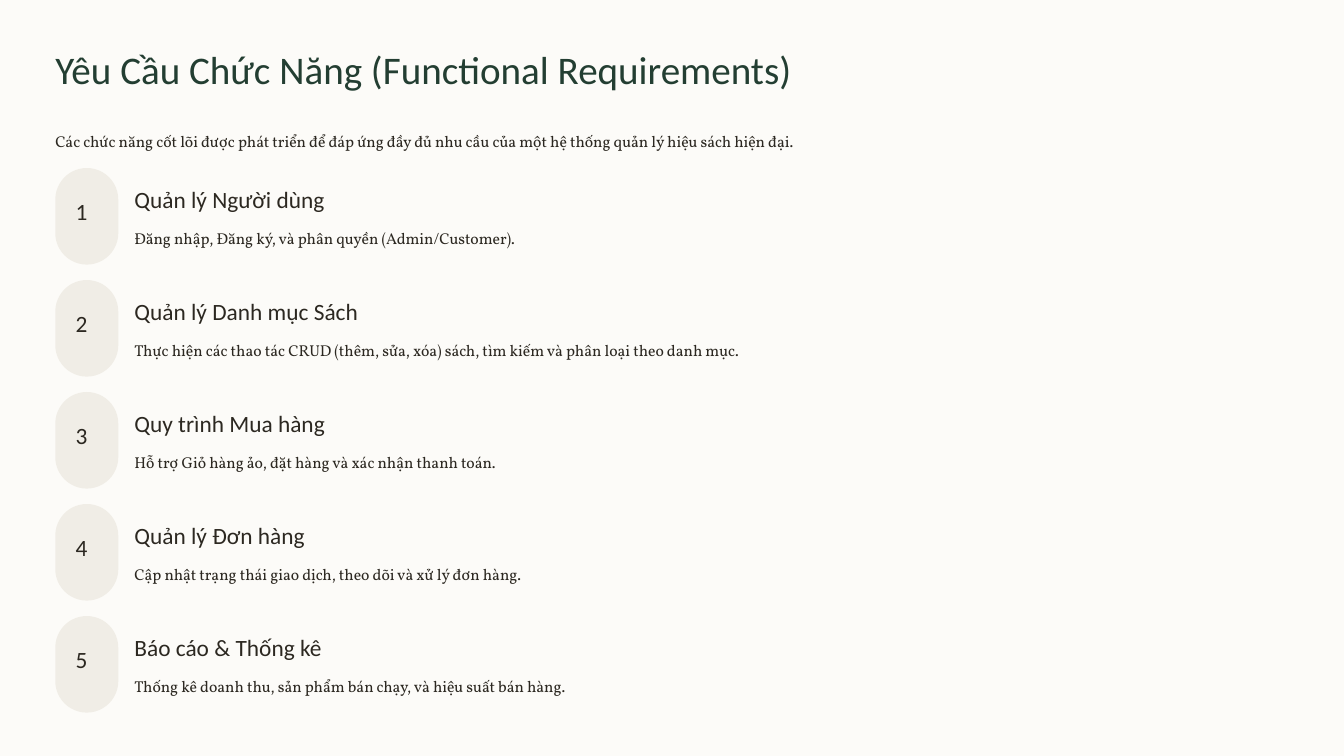
"""Build the functional requirements slide."""
from dataclasses import dataclass

from pptx import Presentation
from pptx.dml.color import RGBColor
from pptx.enum.shapes import MSO_SHAPE
from pptx.enum.text import MSO_ANCHOR, PP_ALIGN
from pptx.slide import Slide
from pptx.util import Pt

PILL = MSO_SHAPE.ROUNDED_RECTANGLE
TOP = MSO_ANCHOR.TOP
LEFT = PP_ALIGN.LEFT
PX = 7620
COLOURS = {"page": "FCFBF8", "title": "233E32", "text": "2C2821", "pill": "F0EDE6"}
FIRST_TOP, ROW_PITCH = 240, 160


@dataclass(frozen=True)
class TextStyle:
    font: str
    size: float
    line: float
    colour: str = "text"


@dataclass(frozen=True)
class Requirement:
    heading: str
    detail: str
    heading_width: int = 340


TITLE = TextStyle("Calibri", 33.5, 42, "title")
BODY = TextStyle("Vollkorn", 13.5, 21.5)
NUMBER = TextStyle("Calibri", 20, 20)
HEADING = TextStyle("Calibri", 20, 25)

REQUIREMENTS = [
    Requirement("Quản lý Người dùng", "Đăng nhập, Đăng ký, và phân quyền (Admin/Customer)."),
    Requirement(
        "Quản lý Danh mục Sách",
        "Thực hiện các thao tác CRUD (thêm, sửa, xóa) sách, tìm kiếm và phân loại theo danh mục.",
        364,
    ),
    Requirement("Quy trình Mua hàng", "Hỗ trợ Giỏ hàng ảo, đặt hàng và xác nhận thanh toán."),
    Requirement("Quản lý Đơn hàng", "Cập nhật trạng thái giao dịch, theo dõi và xử lý đơn hàng."),
    Requirement("Báo cáo & Thống kê", "Thống kê doanh thu, sản phẩm bán chạy, và hiệu suất bán hàng."),
]


def colour(name: str) -> RGBColor:
    return RGBColor.from_string(COLOURS[name])


def set_all(target: object, values: dict[str, object]) -> None:
    for name, value in values.items():
        setattr(target, name, value)


def add_text(page: Slide, area: tuple[int, int, int, int], text: str, style: TextStyle) -> None:
    box = page.shapes.add_textbox(*(length * PX for length in area))
    frame = box.text_frame
    set_all(frame, {
        "margin_left": 0, "margin_top": 0, "margin_right": 0, "margin_bottom": 0,
        "word_wrap": False, "vertical_anchor": TOP,
    })
    para = frame.paragraphs[0]
    set_all(para, {"alignment": LEFT, "line_spacing": Pt(style.line)})
    span = para.add_run()
    span.text = text
    set_all(span.font, {"name": style.font, "size": Pt(style.size)})
    span.font.color.rgb = colour(style.colour)


def add_pill(page: Slide, top: int) -> None:
    pill = page.shapes.add_shape(PILL, 79 * PX, top * PX, 90 * PX, 138 * PX)
    pill.adjustments[0] = 0.5
    pill.shadow.inherit = False
    pill.fill.solid()
    pill.fill.fore_color.rgb = colour("pill")
    pill.line.fill.background()


def add_requirement(page: Slide, index: int, item: Requirement) -> None:
    top = FIRST_TOP + index * ROW_PITCH
    add_pill(page, top)
    add_text(page, (108, top + 48, 34, 42), str(index + 1), NUMBER)
    add_text(page, (192, top + 23, item.heading_width, 42), item.heading, HEADING)
    add_text(page, (192, top + 78, 1649, 36), item.detail, BODY)


def main() -> None:
    deck = Presentation()
    set_all(deck, {"slide_width": 1920 * PX, "slide_height": 1080 * PX})
    page = deck.slides.add_slide(deck.slide_layouts[6])
    page.background.fill.solid()
    page.background.fill.fore_color.rgb = colour("page")
    add_text(page, (79, 62, 1183, 71), "Yêu Cầu Chức Năng (Functional Requirements)", TITLE)
    add_text(
        page, (79, 179, 1762, 36),
        "Các chức năng cốt lõi được phát triển để đáp ứng đầy đủ nhu cầu "
        "của một hệ thống quản lý hiệu sách hiện đại.",
        BODY,
    )
    for index, item in enumerate(REQUIREMENTS):
        add_requirement(page, index, item)
    deck.save("out.pptx")


if __name__ == "__main__":
    main()
